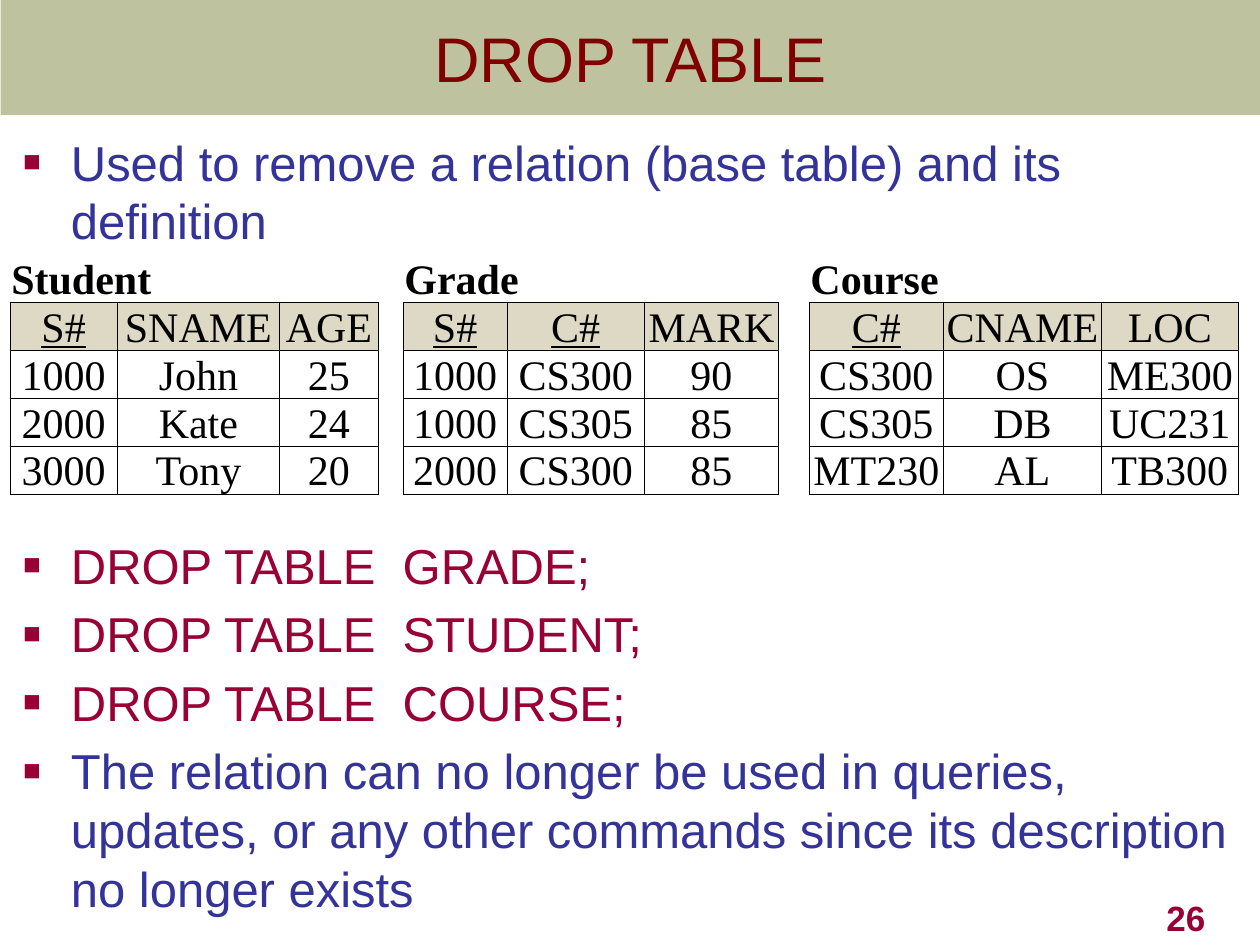
from lxml.etree import SubElement
from pptx import Presentation
from pptx.dml.color import RGBColor
from pptx.enum.shapes import MSO_SHAPE as Shape
from pptx.enum.text import MSO_ANCHOR as Anchor, PP_ALIGN as Align
from pptx.oxml.ns import qn
from pptx.util import Inches, Pt

WIDTH, HEIGHT = Inches(10), Inches(7.5)
NAVY, CRIMSON, MAROON, BLACK = "333399", "990033", "800000", "000000"
OLIVE, SAND, WHITE = "6E7524", "DDD9C4", "FFFFFF"
BODY = {"name": "Arial", "size": Pt(28)}
TITLE = {"name": "Arial", "size": Pt(36)}
NUMBER = {"name": "Arial", "size": Pt(20), "bold": True}
CELL = {"name": "Times New Roman", "size": Pt(24)}
NO_GRID = "{2D5ABB26-0587-4C30-8999-92F81FD0307C}"
ROW_SHARE = 5.08
GAP_SHARES = [2, 2.43]
RELATIONS = [
    ("Student", [8.5, 12.9, 7.8], ["S#"], [
        ["S#", "SNAME", "AGE"], ["1000", "John", "25"],
        ["2000", "Kate", "24"], ["3000", "Tony", "20"]]),
    ("Grade", [8.25, 10.9, 10.65], ["S#", "C#"], [
        ["S#", "C#", "MARK"], ["1000", "CS300", "90"],
        ["1000", "CS305", "85"], ["2000", "CS300", "85"]]),
    ("Course", [10.65, 12.55, 10.85], ["C#"], [
        ["C#", "CNAME", "LOC"], ["CS300", "OS", "ME300"],
        ["CS305", "DB", "UC231"], ["MT230", "AL", "TB300"]]),
]
BULLETS = [
    ("Used to remove a relation (base table) and its definition", NAVY, 0),
    ("DROP TABLE  GRADE;", CRIMSON, 163),
    ("DROP TABLE  STUDENT;", CRIMSON, 5.6),
    ("DROP TABLE  COURSE;", CRIMSON, 5.6),
    ("The relation can no longer be used in queries, updates, or any other "
     "commands since its description no longer exists", NAVY, 5.6),
]


def color(value):
    """Turn a hex string into a colour."""
    return RGBColor.from_string(value)


def across(share):
    """Turn a percentage of the slide width into a length."""
    return round(WIDTH * share / 100)


def down(share):
    """Turn a percentage of the slide height into a length."""
    return round(HEIGHT * share / 100)


def place(left, top, width, height):
    """Turn four percentages into a position and size."""
    return across(left), down(top), across(width), down(height)


def write(para, text, style, ink, align=Align.LEFT):
    """Add a formatted span to a paragraph."""
    para.alignment = align
    span = para.add_run()
    span.text = text
    for name, value in style.items():
        setattr(span.font, name, value)
    span.font.color.rgb = color(ink)


def add_bullet(para):
    """Give a paragraph a hanging square bullet."""
    props = para._p.get_or_add_pPr()
    props.set("marL", str(Inches(0.38)))
    props.set("indent", str(-Inches(0.38)))
    ink = SubElement(props, qn("a:buClr"))
    SubElement(ink, qn("a:srgbClr"), val=CRIMSON)
    SubElement(props, qn("a:buSzPct"), val="60000")
    SubElement(props, qn("a:buFont"), typeface="Arial")
    SubElement(props, qn("a:buChar"), char="■")


def add_title(page, text):
    """Draw the translucent title band."""
    band = page.shapes.add_shape(Shape.RECTANGLE, *place(0.05, 0, 99.95, 12.17))
    band.shadow.inherit = False
    band.line.fill.background()
    band.fill.solid()
    band.fill.fore_color.rgb = color(OLIVE)
    SubElement(band.fill._xPr.find(".//" + qn("a:srgbClr")), qn("a:alpha"), val="44000")
    band.text_frame.vertical_anchor = Anchor.MIDDLE
    write(band.text_frame.paragraphs[0], text, TITLE, MAROON, Align.CENTER)


def add_text(page, position, anchor=Anchor.TOP):
    """Add a wrapping text box and return its frame."""
    frame = page.shapes.add_textbox(*position).text_frame
    frame.word_wrap = True
    frame.vertical_anchor = anchor
    return frame


def add_bullets(page, items):
    """Write the bulleted body text."""
    frame = add_text(page, place(0.85, 13.33, 96.6, 75.2))
    frame.margin_right = 0
    for index, (text, ink, before) in enumerate(items):
        para = frame.add_paragraph() if index else frame.paragraphs[0]
        add_bullet(para)
        para.space_before = Pt(before)
        write(para, text, BODY, ink)


def add_borders(cell, sides):
    """Draw thin black lines on the given sides of a cell."""
    props = cell._tc.get_or_add_tcPr()
    for side in sides:
        line = SubElement(props, qn("a:ln" + side), w=str(Pt(0.5)))
        ink = SubElement(line, qn("a:solidFill"))
        SubElement(ink, qn("a:srgbClr"), val=BLACK)


def format_cell(cell, fill, sides=""):
    """Set the margins, line spacing, borders and fill of a cell."""
    cell.margin_left = cell.margin_right = cell.margin_top = Inches(0.01)
    cell.margin_bottom = 0
    cell.vertical_anchor = Anchor.BOTTOM
    cell.text_frame.paragraphs[0].line_spacing = 0.9
    add_borders(cell, sides)
    cell.fill.solid()
    cell.fill.fore_color.rgb = color(fill)


def fill_relation(table, first, name, keys, rows):
    """Write one named relation from the given column on."""
    for offset in range(len(rows[0])):
        format_cell(table.cell(0, first + offset), WHITE, "B")
    heading = table.cell(0, first)
    heading.merge(table.cell(0, first + len(rows[0]) - 1))
    write(heading.text_frame.paragraphs[0], name, CELL | {"bold": True}, BLACK)
    for number, row in enumerate(rows, 1):
        for offset, text in enumerate(row):
            cell = table.cell(number, first + offset)
            format_cell(cell, SAND if number == 1 else WHITE, "LRTB")
            style = CELL | {"underline": number == 1 and text in keys}
            write(cell.text_frame.paragraphs[0], text, style, BLACK, Align.CENTER)


def add_relations(page, relations):
    """Lay the relations side by side in one table."""
    shares, starts = [], []
    for index, (_, widths, _, _) in enumerate(relations):
        shares += GAP_SHARES[index - 1:index] if index else []
        starts.append(len(shares))
        shares += widths
    count = len(relations[0][3]) + 1
    position = place(0.8, 26.93, sum(shares), count * ROW_SHARE)
    table = page.shapes.add_table(count, len(shares), *position).table
    table._tbl.tblPr.find(qn("a:tableStyleId")).text = NO_GRID
    table.first_row = table.horz_banding = False
    for column, share in zip(table.columns, shares):
        column.width = across(share)
    for row in table.rows:
        row.height = down(ROW_SHARE)
    for start, (name, _, keys, rows) in zip(starts, relations):
        fill_relation(table, start, name, keys, rows)
        for number in range(count if start else 0):
            format_cell(table.cell(number, start - 1), WHITE, "LR" if number else "")


def main():
    """Build and save the slide."""
    deck = Presentation()
    deck.slide_width, deck.slide_height = WIDTH, HEIGHT
    page = deck.slides.add_slide(deck.slide_layouts[6])
    add_bullets(page, BULLETS)
    add_title(page, "DROP TABLE")
    number = add_text(page, place(75.85, 93.33, 20.8, 6.67), Anchor.BOTTOM)
    write(number.paragraphs[0], "26", NUMBER, CRIMSON, Align.RIGHT)
    add_relations(page, RELATIONS)
    deck.save("out.pptx")


if __name__ == "__main__":
    main()
